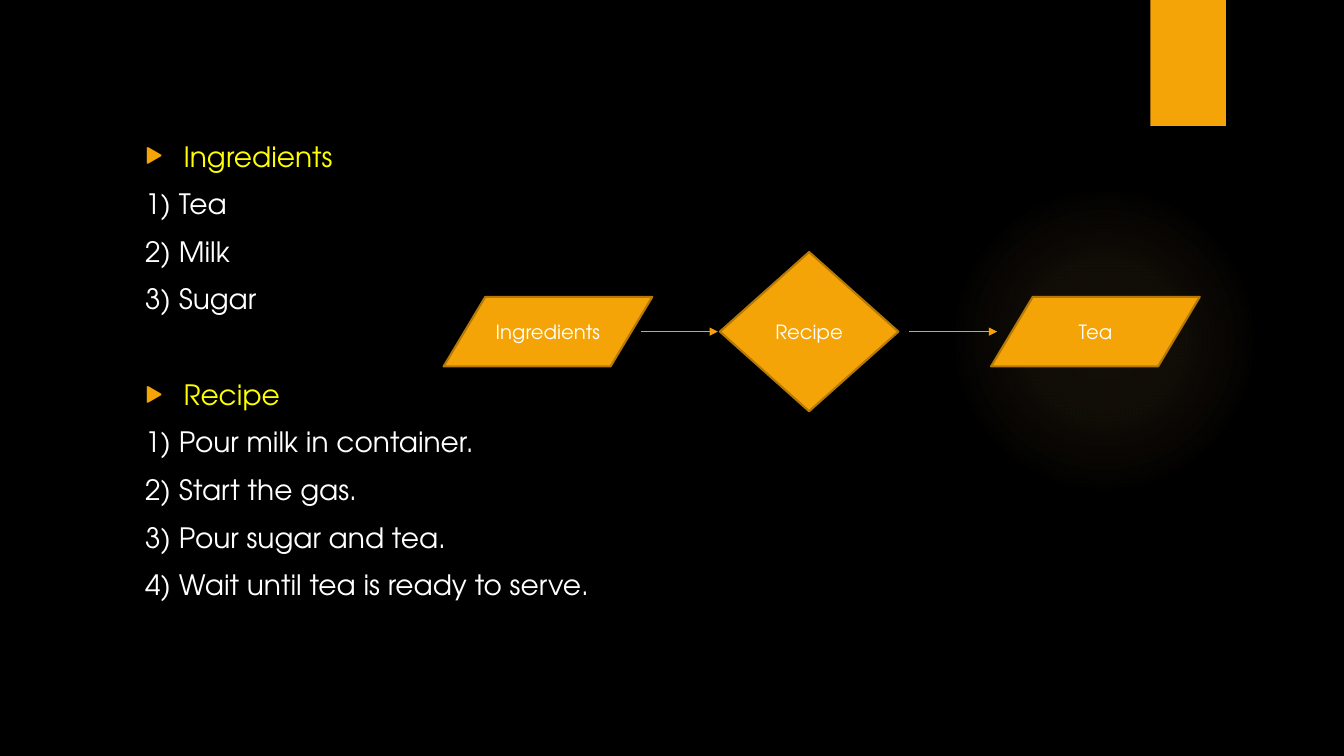
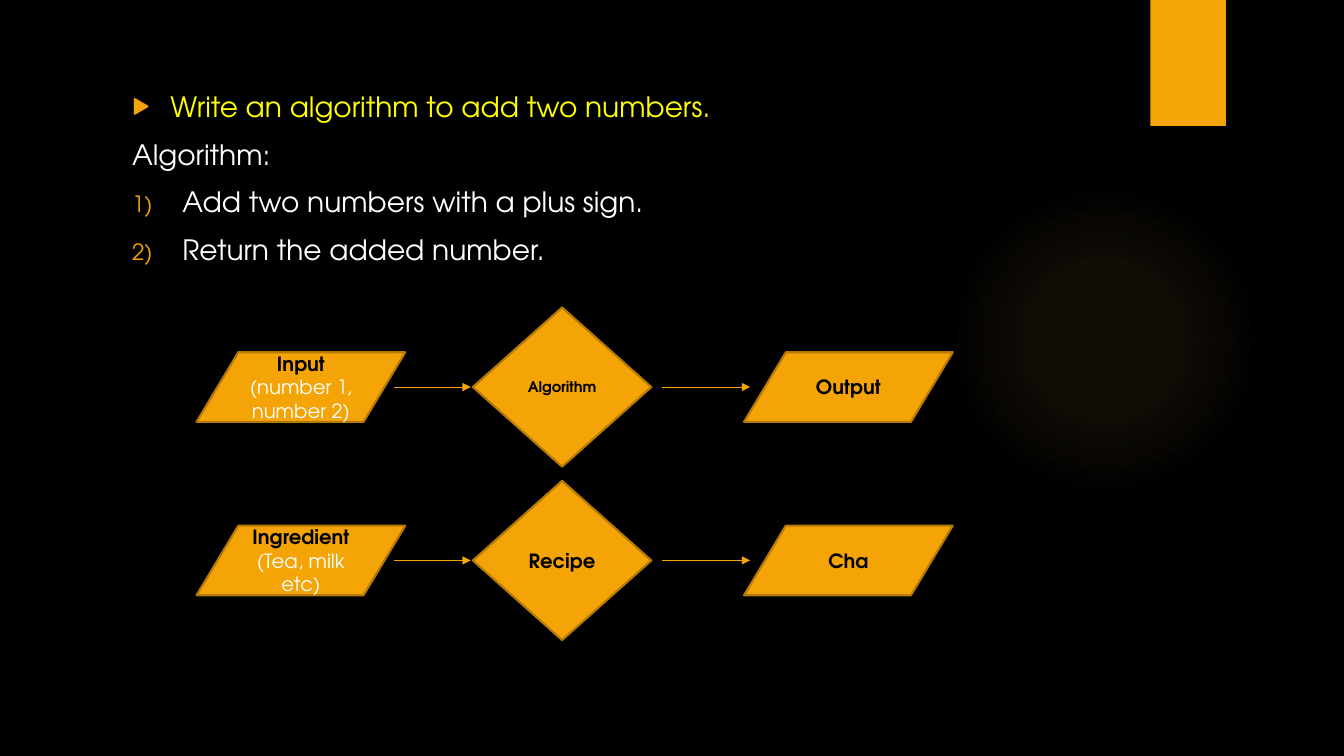
"""Builds two slides that explain algorithms with a tea recipe and flow charts."""
from lxml import etree
from pptx import Presentation
from pptx.dml.color import RGBColor
from pptx.enum.shapes import MSO_CONNECTOR, MSO_SHAPE as SHAPE
from pptx.enum.text import MSO_ANCHOR, MSO_AUTO_SIZE, PP_ALIGN
from pptx.oxml import parse_xml
from pptx.oxml.ns import nsdecls, qn
from pptx.util import Inches, Pt

FONT = "TeX Gyre Adventor"
ORANGE, BROWN, GLOW = "F5A408", "B57906", "FAC96A"
YELLOW, WHITE, BLACK = "FFFF00", "FFFFFF", "000000"
rgb = RGBColor.from_string


def write(p, text, size=14, color=WHITE, bold=False):
    r = p.add_run()
    r.text = text
    r.font.name, r.font.size, r.font.bold = FONT, Pt(size), bold
    r.font.color.rgb = rgb(color)


def add_box(s, kind, x, y, w, h, line=None):
    sp = s.shapes.add_shape(kind, Inches(x), Inches(y), Inches(w), Inches(h))
    sp.shadow.inherit = False
    sp.fill.solid()
    sp.fill.fore_color.rgb = rgb(ORANGE)
    if line:
        sp.line.color.rgb = rgb(line)
        sp.line.width = Pt(1.5)
    else:
        sp.line.fill.background()
    return sp


prs = Presentation()
prs.slide_width, prs.slide_height = Inches(13.33), Inches(7.5)
master = prs.slide_master
master.background.fill.solid()
master.background.fill.fore_color.rgb = rgb(BLACK)

tea, numbers = [prs.slides.add_slide(prs.slide_layouts[1]) for _ in range(2)]

glow = add_box(tea, SHAPE.OVAL, 9.41, 1.83, 3.08, 3.08)
stops = "".join(
    f'<a:gs pos="{pos}000"><a:srgbClr val="{GLOW}"><a:alpha val="{alpha}000"/></a:srgbClr></a:gs>'
    for pos, alpha in [(0, 7), (36, 6), (69, 0)])
solid = glow.element.spPr.find(qn("a:solidFill"))
solid.getparent().replace(solid, parse_xml(
    f'<a:gradFill {nsdecls("a")}><a:gsLst>{stops}</a:gsLst><a:path path="circle">'
    '<a:fillToRect l="50000" t="50000" r="50000" b="50000"/></a:path></a:gradFill>'))
band = add_box(tea, SHAPE.RECTANGLE, 11.41, 0, 0.75, 1.25)
for sp in (glow, band):
    master.shapes.element.append(sp.element)

BULLETS = {
    "head": (0.38, "a:buChar", {"char": "▶"}),
    "number": (0.5, "a:buAutoNum", {"type": "arabicParenR"}),
    "plain": (0, "a:buNone", {}),
}
bodies = [
    (tea, 1.34, 1.33, 4.59, [
        ("head", "Ingredients", 10),
        ("plain", "1) Tea", 10),
        ("plain", "2) Milk", 10),
        ("plain", "3) Sugar", 10),
        ("head", "Recipe", 44),
        ("plain", "1) Pour milk in container.", 10),
        ("plain", "2) Start the gas.", 10),
        ("plain", "3) Pour sugar and tea.", 10),
        ("plain", "4) Wait until tea is ready to serve.", 10),
    ]),
    (numbers, 1.21, 0.84, 5.99, [
        ("head", "Write an algorithm to add two numbers.", 10),
        ("plain", "Algorithm:", 10),
        ("number", "Add two numbers with a plus sign.", 10),
        ("number", "Return the added number.", 10),
    ]),
]
for s, x, y, h, lines in bodies:
    title = s.shapes.title.element
    title.getparent().remove(title)
    body = s.placeholders[1]
    body.left, body.top, body.width, body.height = Inches(x), Inches(y), Inches(9.78), Inches(h)
    tf = body.text_frame
    tf.auto_size, tf.vertical_anchor = MSO_AUTO_SIZE.NONE, MSO_ANCHOR.TOP
    for i, (style, text, before) in enumerate(lines):
        p = tf.add_paragraph() if i else tf.paragraphs[0]
        p.space_before = Pt(before)
        write(p, text, size=20, color=YELLOW if style == "head" else WHITE)
        indent, tag, attrs = BULLETS[style]
        pPr = p._p.get_or_add_pPr()
        pPr.set("marL", str(Inches(indent)))
        pPr.set("indent", str(-Inches(indent)))
        if style != "plain":
            color = etree.SubElement(pPr, qn("a:buClr"))
            etree.SubElement(color, qn("a:srgbClr"), val=ORANGE)
            etree.SubElement(pPr, qn("a:buSzPct"), val="80000")
            etree.SubElement(pPr, qn("a:buFont"), typeface=FONT)
        etree.SubElement(pPr, qn(tag), attrs)

STEPS = [
    (SHAPE.FLOWCHART_DATA, 0, 2.07, 0.69),
    (SHAPE.DIAMOND, 2.74, 1.77, 1.58),
    (SHAPE.FLOWCHART_DATA, 5.43, 2.07, 0.69),
]
ARROWS = [(1.96, 2.72), (4.62, 5.49)]
dark = {"color": BLACK, "bold": True}
flows = [
    (tea, 4.4, 3.29, [[("Ingredients", {})], [("Recipe", {})], [("Tea", {})]]),
    (numbers, 1.95, 5.56, [
        [("Ingredient", dark), ("(Tea, milk etc)", {})], [("Recipe", dark)], [("Cha", dark)]]),
    (numbers, 1.95, 3.84, [
        [("Input", dark), ("(number 1, number 2)", {})],
        [("Algorithm", {**dark, "size": 10.5})], [("Output", dark)]]),
]
for s, x, mid, labels in flows:
    for (kind, dx, w, h), label in zip(STEPS, labels):
        tf = add_box(s, kind, x + dx, mid - h / 2, w, h, line=BROWN).text_frame
        tf.word_wrap, tf.vertical_anchor = True, MSO_ANCHOR.MIDDLE
        for i, (text, look) in enumerate(label):
            p = tf.add_paragraph() if i else tf.paragraphs[0]
            p.alignment = PP_ALIGN.CENTER
            write(p, text, **look)
    for start, end in ARROWS:
        arrow = s.shapes.add_connector(
            MSO_CONNECTOR.STRAIGHT, Inches(x + start), Inches(mid), Inches(x + end), Inches(mid))
        arrow.line.color.rgb = rgb(ORANGE)
        arrow.line.width = Pt(0.75)
        etree.SubElement(arrow.line._get_or_add_ln(), qn("a:tailEnd"), type="triangle")
        etree.SubElement(arrow.element.spPr, qn("a:effectLst"))

prs.save("out.pptx")
